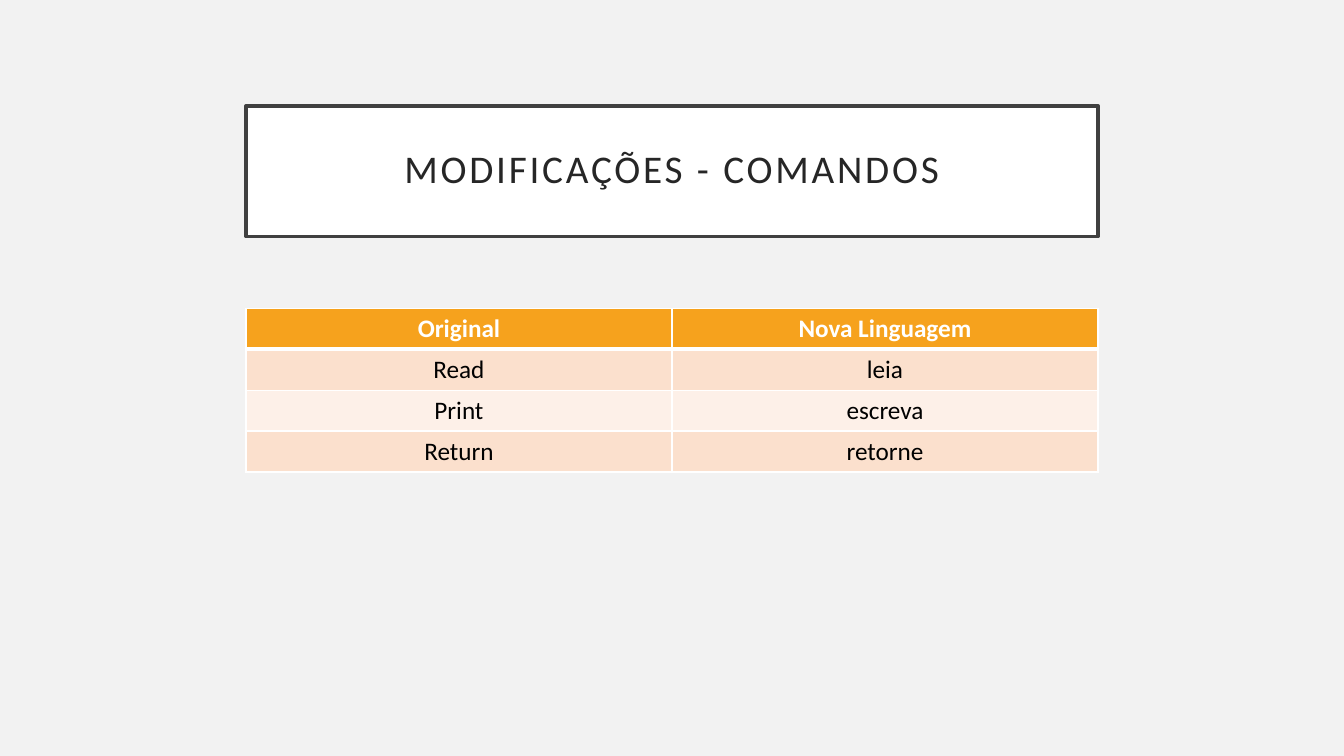
import pptx
import pptx.util
import pptx.dml.color
import pptx.enum.text
import pptx.oxml
import pptx.oxml.ns

COLORS = {
    "background": "F2F2F2", "white": "FFFFFF", "frame": "404040",
    "title": "262626", "body": "000000", "header": "F6A21D",
    "band_dark": "FBE0CD", "band_light": "FDF0E8",
}
FONT = "Calibri"
WIDTH, HEIGHT = pptx.util.Inches(13.33), pptx.util.Inches(7.5)

# Both blocks share one centred column
LEFT, BLOCK_WIDTH = 0.183, 0.634
TITLE_TOP, TITLE_HEIGHT = 0.14, 0.173
TABLE_TOP, ROW_HEIGHT = 0.408, 0.054

COMMANDS = [
    ("Original", "Nova Linguagem"),
    ("Read", "leia"),
    ("Print", "escreva"),
    ("Return", "retorne"),
]


def rgb(name):
    return pptx.dml.color.RGBColor.from_string(COLORS[name])


def block(top, height):
    """Left, top, width and height of a block in the centred column."""
    return (int(WIDTH * LEFT), int(HEIGHT * top),
            int(WIDTH * BLOCK_WIDTH), int(HEIGHT * height))


def paint(target, color):
    target.fill.solid()
    target.fill.fore_color.rgb = rgb(color)


def write(tf, text, size=18, color="body", bold=False, line_spacing=None,
          tracking=None):
    p = tf.paragraphs[0]
    p.alignment = pptx.enum.text.PP_ALIGN.CENTER
    p.line_spacing = line_spacing
    r = p.add_run()
    r.text = text
    r.font.name = FONT
    r.font.size = pptx.util.Pt(size)
    r.font.bold = bold
    r.font.color.rgb = rgb(color)
    if tracking:
        r.font._element.set("spc", str(tracking * 100))


def set_borders(cell, **widths):
    """Draw white cell borders; widths in points are keyed L, R, T, B."""
    tcPr = cell._tc.get_or_add_tcPr()
    for side, width in widths.items():
        tcPr.append(pptx.oxml.parse_xml(
            f'<a:ln{side} {pptx.oxml.ns.nsdecls("a")} w="{pptx.util.Pt(width)}">'
            f'<a:solidFill><a:srgbClr val="{COLORS["white"]}"/></a:solidFill>'
            f'</a:ln{side}>'))


def add_title(s, text):
    sp = s.shapes.title
    sp.left, sp.top, sp.width, sp.height = block(TITLE_TOP, TITLE_HEIGHT)
    paint(sp, "white")
    sp.line.color.rgb = rgb("frame")
    sp.line.width = pptx.util.Pt(2.5)
    tf = sp.text_frame
    tf.word_wrap = True
    tf.vertical_anchor = pptx.enum.text.MSO_ANCHOR.MIDDLE
    tf.margin_left = tf.margin_right = pptx.util.Inches(0.2)
    tf.margin_top = tf.margin_bottom = pptx.util.Inches(0.2)
    write(tf, text, size=28, color="title", line_spacing=0.9, tracking=2)


def add_command_table(s, rows):
    frame = s.shapes.add_table(len(rows), len(rows[0]),
                               *block(TABLE_TOP, ROW_HEIGHT * len(rows)))
    for i, row in enumerate(rows):
        header = i == 0
        fill = "header" if header else "band_dark" if i % 2 else "band_light"
        for j, text in enumerate(row):
            cell = frame.table.cell(i, j)
            # The rule under the header is thicker
            set_borders(cell, L=1, R=1, T=3 if i == 1 else 1,
                        B=3 if header else 1)
            paint(cell, fill)
            cell.vertical_anchor = pptx.enum.text.MSO_ANCHOR.MIDDLE
            write(cell.text_frame, text, bold=header,
                  color="white" if header else "body")


def main():
    prs = pptx.Presentation()
    prs.slide_width, prs.slide_height = WIDTH, HEIGHT
    s = prs.slides.add_slide(prs.slide_layouts.get_by_name("Title Only"))
    paint(s.background, "background")
    add_title(s, "MODIFICAÇÕES - COMANDOS")
    add_command_table(s, COMMANDS)
    prs.save("out.pptx")


if __name__ == "__main__":
    main()
